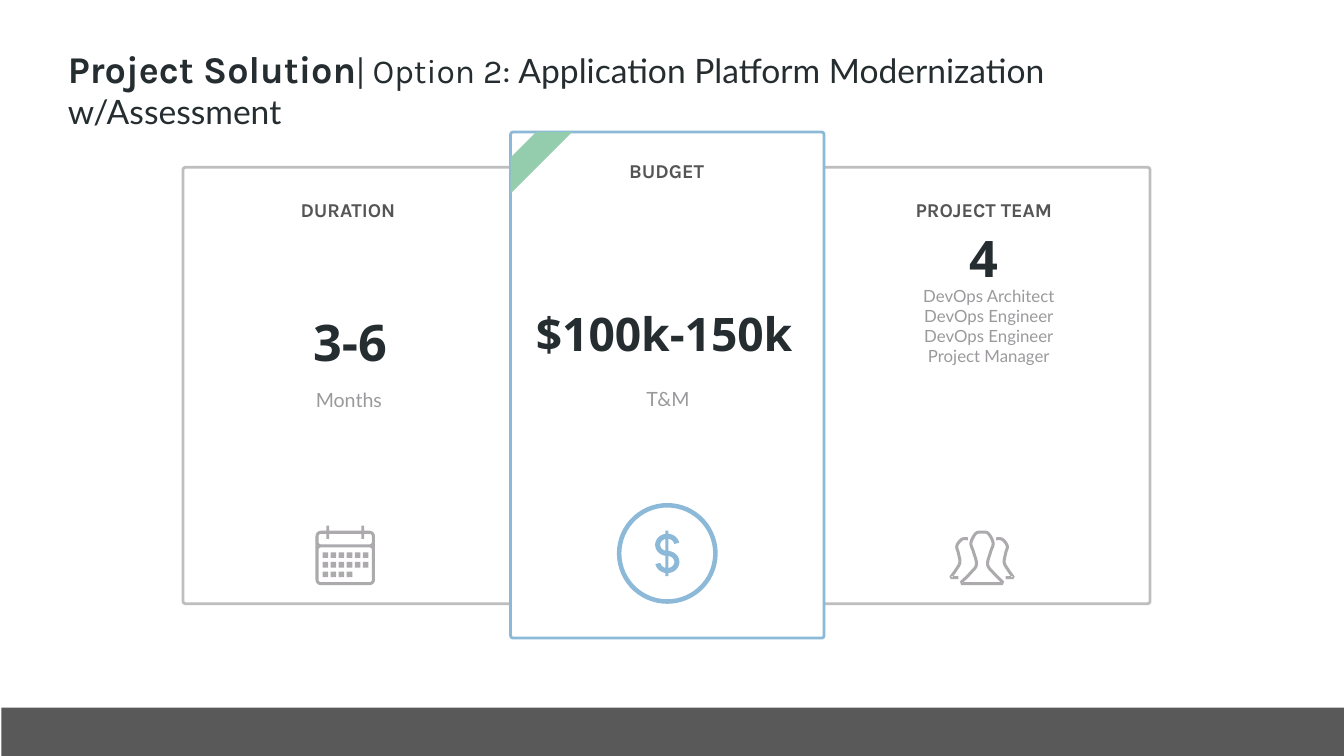
import math
from dataclasses import dataclass
from typing import Optional

import pptx
import pptx.util
from pptx.dml.color import RGBColor
from pptx.enum.shapes import MSO_SHAPE
from pptx.enum.text import MSO_ANCHOR, PP_ALIGN

Pt = pptx.util.Pt

DARK = RGBColor(0x25, 0x2D, 0x30)
LABEL = RGBColor(0x54, 0x55, 0x54)
MUTED = RGBColor(0x9B, 0x99, 0x9C)
ICON = RGBColor(0xAC, 0xAA, 0xAD)
BORDER = RGBColor(0xBD, 0xBE, 0xBD)
BLUE = RGBColor(0x8D, 0xB9, 0xD9)
GREEN = RGBColor(0x93, 0xCD, 0xAD)
FOOTER = RGBColor(0x59, 0x59, 0x59)
WHITE = RGBColor(0xFF, 0xFF, 0xFF)

UNIT = 0.72  # points per icon grid unit


@dataclass
class Box:
    left: float
    top: float
    width: float
    height: float

    def emu(self) -> list:
        return [Pt(v) for v in (self.left, self.top, self.width, self.height)]


@dataclass
class Block:
    box: Box
    lines: list
    style: dict
    inset: float = 3
    top_inset: float = 3
    spacing: float = 1
    anchor: MSO_ANCHOR = MSO_ANCHOR.TOP


@dataclass
class Card:
    box: Box
    line: RGBColor
    fill: Optional[RGBColor] = None


@dataclass
class Icon:
    x: float
    y: float
    color: RGBColor
    contours: list


HEADING = dict(name="Karla", size=Pt(28), bold=True, color=LABEL)
FIGURE = dict(name="Open Sans", size=Pt(72), bold=True, color=DARK)
CAPTION = dict(name="Lato", size=Pt(28), bold=False, color=MUTED)
TITLE = dict(name="Lato", size=Pt(48), bold=False, color=DARK)

# Centre lines of the right half of the front person and of the person behind
FRONT = [(0, 3), (12, 5), (22, 24), (17, 42), (11, 67), (23, 84), (41, 102)]
BACK = [(28, 16), (40, 17), (50, 30), (47, 44), (44, 63), (52, 78), (62, 92)]


def arc(cx: float, cy: float, rx: float, ry: float, start: int, sweep: int) -> list:
    n = max(6, abs(sweep) // 6)
    angles = [math.radians(start + sweep * i / n) for i in range(n + 1)]
    return [(cx + rx * math.cos(a), cy + ry * math.sin(a)) for a in angles]


def rect(x1: float, y1: float, x2: float, y2: float, r: float = 0) -> list:
    if not r:
        return [(x1, y1), (x2, y1), (x2, y2), (x1, y2)]
    centres = [(x2 - r, y2 - r), (x1 + r, y2 - r), (x1 + r, y1 + r), (x2 - r, y1 + r)]
    return [pt for q, (cx, cy) in enumerate(centres) for pt in arc(cx, cy, r, r, 90 * q, 90)]


def smooth(pts: list, steps: int = 6) -> list:
    """Catmull-Rom curve through the points."""
    ends = [pts[0], *pts, pts[-1]]
    out = []
    for a, b, c, d in zip(ends, ends[1:], ends[2:], ends[3:]):
        for t in (i / steps for i in range(steps)):
            out.append(tuple(b[k] + t * (c[k] - a[k]) / 2
                             + t * t * (a[k] - 2.5 * b[k] + 2 * c[k] - d[k] / 2)
                             + t**3 * (1.5 * (b[k] - c[k]) + (d[k] - a[k]) / 2)
                             for k in (0, 1)))
    return out + [pts[-1]]


def flip(pts: list, sx: int = -1, sy: int = 1) -> list:
    return [(sx * x, sy * y) for x, y in reversed(pts)]


def band(spine: list, width: float) -> list:
    """Outline of a stroke of the given width along the spine."""
    sides = [[], []]
    last = len(spine) - 1
    for i, (x, y) in enumerate(spine):
        (ax, ay), (bx, by) = spine[max(i - 1, 0)], spine[min(i + 1, last)]
        k = width / 2 / math.hypot(bx - ax, by - ay)
        for side, sign in zip(sides, (1, -1)):
            side.append((x - sign * k * (by - ay), y + sign * k * (bx - ax)))
    return sides[0] + sides[1][::-1]


def paint(sp, fill: Optional[RGBColor], line: Optional[RGBColor] = None) -> None:
    sp.shadow.inherit = False
    if fill is None:
        sp.fill.background()
    else:
        sp.fill.solid()
        sp.fill.fore_color.rgb = fill
    if line is None:
        sp.line.fill.background()
    else:
        sp.line.color.rgb = line
        sp.line.width = Pt(4)


def add_card(s, card: Card) -> None:
    sp = s.shapes.add_shape(MSO_SHAPE.ROUNDED_RECTANGLE, *card.box.emu())
    sp.adjustments[0] = 0.008
    paint(sp, card.fill, card.line)


def add_icon(s, icon: Icon) -> None:
    fb = None
    for contour in icon.contours:
        pts = [(Pt(icon.x + x * UNIT), Pt(icon.y + y * UNIT)) for x, y in contour]
        if fb is None:
            fb = s.shapes.build_freeform(*pts[0])
        else:
            fb.move_to(*pts[0])
        fb.add_line_segments(pts[1:], close=True)
    paint(fb.convert_to_shape(), icon.color)


def add_run(p, text: str, style: dict) -> None:
    r = p.add_run()
    r.text = text
    for key, value in style.items():
        if key == "color":
            r.font.color.rgb = value
        else:
            setattr(r.font, key, value)


def add_block(s, b: Block, align: PP_ALIGN = PP_ALIGN.CENTER) -> None:
    """Each line is a string, or a list of (text, style changes) runs."""
    tf = s.shapes.add_textbox(*b.box.emu()).text_frame
    frame = dict(word_wrap=True, vertical_anchor=b.anchor, margin_left=Pt(b.inset),
                 margin_right=Pt(b.inset), margin_top=Pt(b.top_inset), margin_bottom=Pt(3))
    for key, value in frame.items():
        setattr(tf, key, value)
    for i, line in enumerate(b.lines):
        p = tf.add_paragraph() if i else tf.paragraphs[0]
        p.alignment, p.line_spacing = align, b.spacing
        for text, change in [(line, {})] if isinstance(line, str) else line:
            add_run(p, text, {**b.style, **change})


def main() -> None:
    prs = pptx.Presentation()
    prs.slide_width, prs.slide_height = Pt(1920), Pt(1080)
    s = prs.slides.add_slide(prs.slide_layouts[6])

    # Footer band
    paint(s.shapes.add_shape(MSO_SHAPE.RECTANGLE, *Box(2, 1011, 1918, 69).emu()), FOOTER)

    # Cards, the middle one in front, with its corner ribbon
    for card in (Card(Box(1170, 239, 473, 623.5), BORDER),
                 Card(Box(261.4, 239, 473, 623.5), BORDER),
                 Card(Box(729.4, 188.6, 447.8, 723), BLUE, WHITE)):
        add_card(s, card)
    ribbon = s.shapes.add_shape(MSO_SHAPE.DIAGONAL_STRIPE, *Box(729.4, 188.6, 88, 88).emu())
    ribbon.adjustments[0] = 0.416
    paint(ribbon, GREEN)

    # Icons
    cells = [rect(14 + 16 * c, 53 + 19 * r, 25 + 16 * c, 64 + 19 * r)
             for r, count in enumerate((6, 6, 4)) for c in range(count)]
    posts = [rect(x, y, x + 5.5, y + 10) for x in (21.5, 91) for y in (0, 16)]
    calendar = [rect(0, 10, 118, 118, 11), rect(6, 16, 112, 37, 5),
                rect(6, 43, 112, 112, 5)] + posts + cells

    half = smooth(FRONT) + [(41, 105), (0, 105)]
    back = band(smooth(BACK) + [(62, 93), (47, 93)], 6)
    front = band(half, 6)
    people = [front, flip(front), back, flip(back)]

    upper = arc(0, -17, 19, 17, -10, -260)
    curl = band(upper + flip(upper, -1, -1)[1:], 10)
    bars = [rect(-4, y1, 2, y2) for y1, y2 in ((-45, -39), (-29, -5), (5, 29), (39, 45))]
    coin = [arc(0, 0, r, r, 0, 360) for r in (100, 91)] + [curl] + bars

    for icon in (Icon(953.3, 790.6, BLUE, coin), Icon(450.7, 751, ICON, calendar),
                 Icon(1402.9, 758.2, ICON, people)):
        add_icon(s, icon)

    # Card headings
    for text, box in (("DURATION", Box(273, 279.4, 448, 40)),
                      ("BUDGET", Box(733, 223.2, 438.5, 40)),
                      ("PROJECT TEAM", Box(1181.5, 279.4, 448, 40))):
        add_block(s, Block(box, [text], HEADING, anchor=MSO_ANCHOR.MIDDLE))

    # Card figures and captions
    roles = ["DevOps Architect", "DevOps Engineer", "DevOps Engineer", "Project Manager"]
    for b in (Block(Box(327, 442, 346.3, 92), ["3-6"], FIGURE),
              Block(Box(749.5, 417.6, 399, 140.4), ["$100k-150k"],
                    {**FIGURE, "size": Pt(66)}, top_inset=18),
              Block(Box(1232, 321, 346.3, 92), ["4"], FIGURE),
              Block(Box(315.4, 533.5, 365.8, 103), ["Months"], CAPTION, 7.2, 3.6, 1.5),
              Block(Box(728.6, 532, 451.4, 52), ["T&M"], CAPTION, 7.2, 3.6, 1.5),
              Block(Box(1181.5, 404.6, 462, 124), roles, {**CAPTION, "size": Pt(24)}, 7.2, 3.6)):
        add_block(s, b)

    # Title
    title = [("Project Solution", dict(name="Karla", size=Pt(54), bold=True)), ("|", {}),
             (" Option 2: ", dict(name="Karla")),
             ("Application Platform Modernization w/Assessment", {})]
    add_block(s, Block(Box(90, 62, 1597.7, 72.7), [title], TITLE, 7.2, 3.6), PP_ALIGN.LEFT)

    prs.save("out.pptx")


if __name__ == "__main__":
    main()
